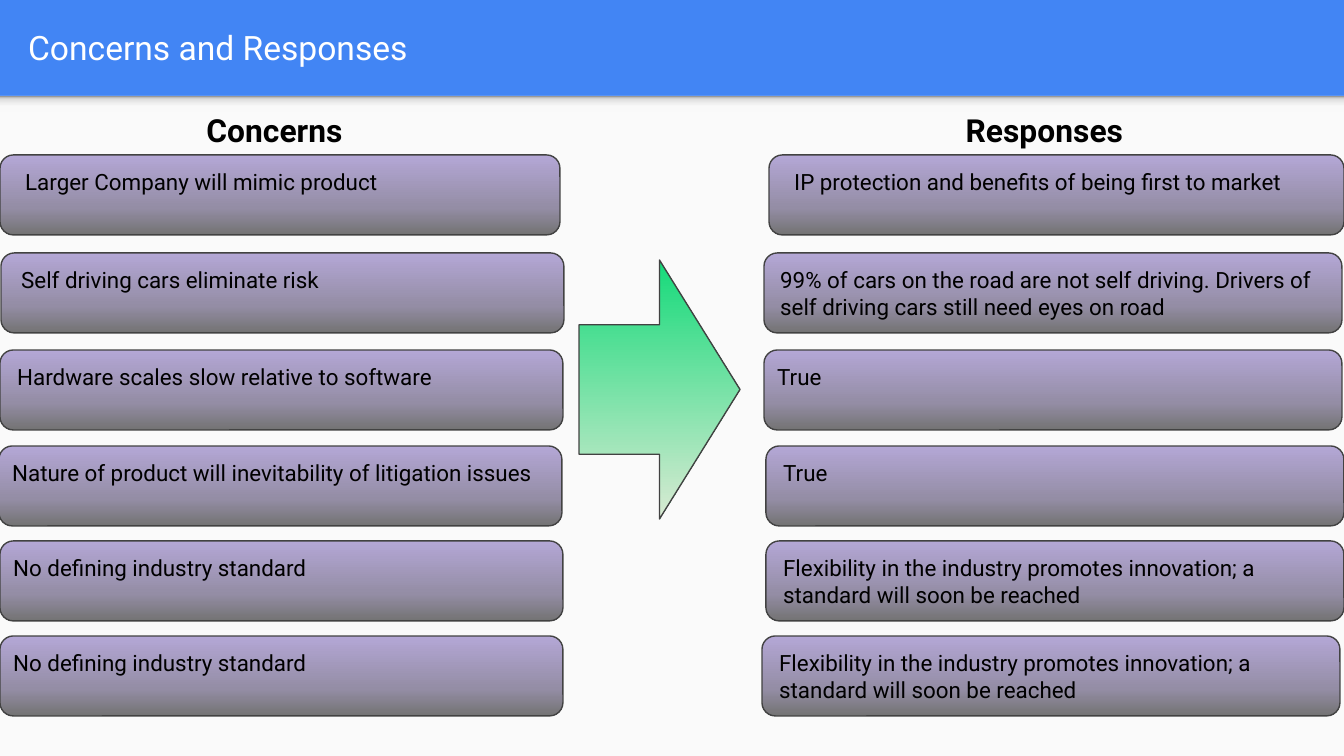
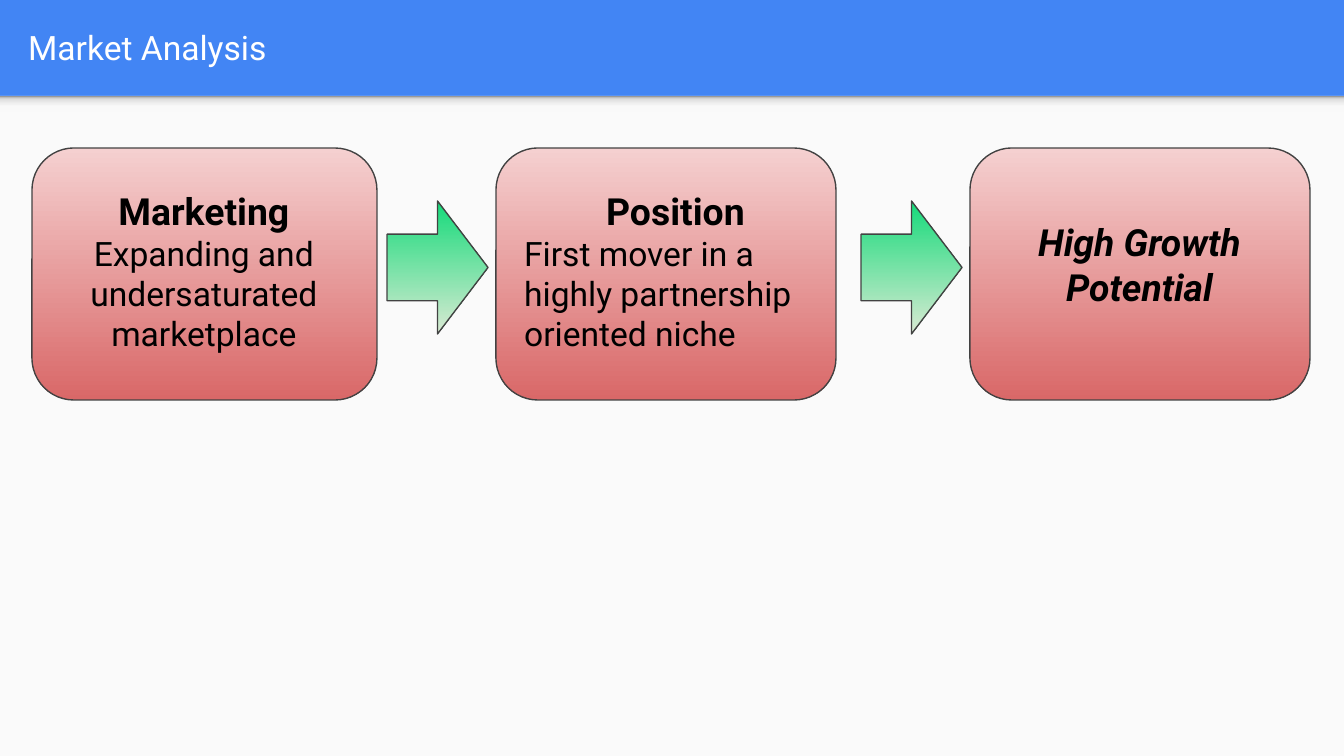
from lxml import etree
from pptx import Presentation
from pptx import util as u
from pptx.dml import color
from pptx.enum import shapes, text
from pptx.oxml import ns

SCALE = 914400 / 134.4  # EMU in one px
WIDTH, HEIGHT = 1344, 756
BAND_HEIGHT = 96
FONT = "Roboto"
COLORS = {
    "band": "4285F4", "page": "FAFAFA", "title": "FFFFFF",
    "text": "000000", "outline": "424242",
}
# Gradient stops as (percent, colour)
PURPLE = [(0, "B4A7D6"), (66, "948DA5"), (100, "737373")]
RED = [(0, "F5D0D0"), (100, "D96868")]
GREEN = [(0, "15DA7A"), (100, "D9EAD3")]
BAND_SHADOW = [(0, "F9F9F9"), (36, "F9F9F9"), (80, "DEDEDE"), (100, "999999")]

LEFT, CENTER = text.PP_ALIGN.LEFT, text.PP_ALIGN.CENTER
TOP, MIDDLE = text.MSO_ANCHOR.TOP, text.MSO_ANCHOR.MIDDLE
RECTANGLE = shapes.MSO_SHAPE.RECTANGLE
ROUNDED = shapes.MSO_SHAPE.ROUNDED_RECTANGLE
ARROW = shapes.MSO_SHAPE.RIGHT_ARROW


def px(value):
    return u.Emu(round(value * SCALE))


def rgb(name):
    return color.RGBColor.from_string(COLORS[name])


def fill_gradient(shape, stops, angle):
    """Replace the shape's fill with a linear gradient, angle clockwise."""
    shape.fill.background()
    empty_fill = shape._element.spPr.find(ns.qn("a:noFill"))
    gradient = etree.Element(ns.qn("a:gradFill"), rotWithShape="1")
    stop_list = etree.SubElement(gradient, ns.qn("a:gsLst"))
    for percent, value in stops:
        stop = etree.SubElement(stop_list, ns.qn("a:gs"), pos=str(percent * 1000))
        etree.SubElement(stop, ns.qn("a:srgbClr"), val=value)
    etree.SubElement(gradient, ns.qn("a:lin"), ang=str(angle * 60000), scaled="0")
    empty_fill.getparent().replace(empty_fill, gradient)


def add_shape(slide, kind, box):
    shape = slide.shapes.add_shape(kind, *map(px, box))
    shape.shadow.inherit = False
    shape.line.fill.background()
    return shape


def add_gradient_shape(slide, kind, box, stops):
    shape = add_shape(slide, kind, box)
    fill_gradient(shape, stops, 90)
    shape.line.color.rgb = rgb("outline")
    shape.line.width = u.Pt(0.75)


def add_text(slide, box, lines, anchor=TOP, color_name="text"):
    """Each line is (words, size, alignment, bold, italic, line spacing)."""
    frame = slide.shapes.add_textbox(*map(px, box)).text_frame
    frame.word_wrap = True
    frame.vertical_anchor = anchor
    frame.margin_left = frame.margin_right = u.Inches(0.1)
    frame.margin_top = frame.margin_bottom = u.Inches(0.1)
    for index, (words, size, alignment, bold, italic, spacing) in enumerate(lines):
        paragraph = frame.add_paragraph() if index else frame.paragraphs[0]
        paragraph.text = words
        paragraph.alignment = alignment
        paragraph.line_spacing = spacing
        font = paragraph.font
        font.name, font.size = FONT, u.Pt(size)
        font.bold, font.italic = bold, italic
        font.color.rgb = rgb(color_name)


def line(words, size, alignment=LEFT, bold=False, italic=False, spacing=None):
    return words, size, alignment, bold, italic, spacing


def add_titled_slide(presentation, title):
    """Blue band with its title above a pale page."""
    slide = presentation.slides.add_slide(presentation.slide_layouts[6])
    slide.background.fill.solid()
    slide.background.fill.fore_color.rgb = rgb("band")
    page = add_shape(slide, RECTANGLE, (0, BAND_HEIGHT, WIDTH, HEIGHT - BAND_HEIGHT))
    page.fill.solid()
    page.fill.fore_color.rgb = rgb("page")
    shadow = add_shape(slide, RECTANGLE, (0, BAND_HEIGHT, WIDTH, 16))
    fill_gradient(shadow, BAND_SHADOW, 270)
    add_text(slide, (15, 3, 1297, 89), [line(title, 18)], MIDDLE, "title")
    return slide


def add_bar_column(slide, box, heading, heading_left, bars):
    """Heading over bars; each bar is (words, shift, width, text indent)."""
    left, top = box
    row_offsets = [58, 156, 253, 349, 444, 539]
    add_text(slide, (left + heading_left, top, 399, 66),
             [line(heading, 17, CENTER, bold=True)])
    for offset, (words, shift, width, indent) in zip(row_offsets, bars):
        bar_left, bar_top = left + shift, top + offset
        add_gradient_shape(slide, ROUNDED, (bar_left, bar_top, width, 80), PURPLE)
        add_text(slide, (bar_left + indent, bar_top, width, 67), [line(words, 12)])


def add_card(slide, box, text_box, lines):
    """Red card with text placed relative to its corner."""
    left, top = box[:2]
    text_left, text_top, width, height = text_box
    add_gradient_shape(slide, ROUNDED, box, RED)
    add_text(slide, (left + text_left, top + text_top, width, height), lines)


def build_concerns(presentation):
    slide = add_titled_slide(presentation, "Concerns and Responses")
    flexibility = ("Flexibility in the industry promotes innovation; "
                   "a standard will soon be reached")
    add_bar_column(slide, (0, 97), "Concerns", 75, [
        ("Larger Company will mimic product", 0, 560, 12),
        ("Self driving cars eliminate risk", 1, 563, 7),
        ("Hardware scales slow relative to software", 0, 563, 4),
        ("Nature of product will inevitability of litigation issues", -1, 563, 0),
        ("No defining industry standard", 0, 563, 0),
        ("No defining industry standard", 0, 563, 0),
    ])
    add_gradient_shape(slide, ARROW, (579, 260, 161, 259), GREEN)
    add_bar_column(slide, (764, 97), "Responses", 81, [
        ("IP protection and benefits of being first to market", 5, 575, 12),
        ("99% of cars on the road are not self driving. "
         "Drivers of self driving cars still need eyes on road", 0, 578, 3),
        ("True", 0, 578, 0),
        ("True", 2, 578, 4),
        (flexibility, 2, 578, 4),
        (flexibility, -2, 578, 4),
    ])


def build_market(presentation):
    slide = add_titled_slide(presentation, "Market Analysis")
    top, height = 148, 252
    add_card(slide, (32, top, 345, height), (4, 4, 336, 245), [
        line("Marketing", 20, CENTER, bold=True, spacing=1.5),
        line("Expanding and undersaturated marketplace", 18, CENTER),
    ])
    add_card(slide, (496, top, 340, height), (15, 4, 329, 245), [
        line("Position", 20, CENTER, bold=True, spacing=1.5),
        line("First mover in a highly partnership oriented niche", 18),
    ])
    add_card(slide, (970, top, 340, height), (5, 58, 329, 164), [
        line("High Growth Potential", 20, CENTER, bold=True, italic=True),
    ])
    # Arrows between the cards
    for arrow_left in (387, 861):
        add_gradient_shape(slide, ARROW, (arrow_left, top + 53, 101, 133), GREEN)


def main():
    presentation = Presentation()
    presentation.slide_width, presentation.slide_height = px(WIDTH), px(HEIGHT)
    build_concerns(presentation)
    build_market(presentation)
    presentation.save("out.pptx")


if __name__ == "__main__":
    main()
